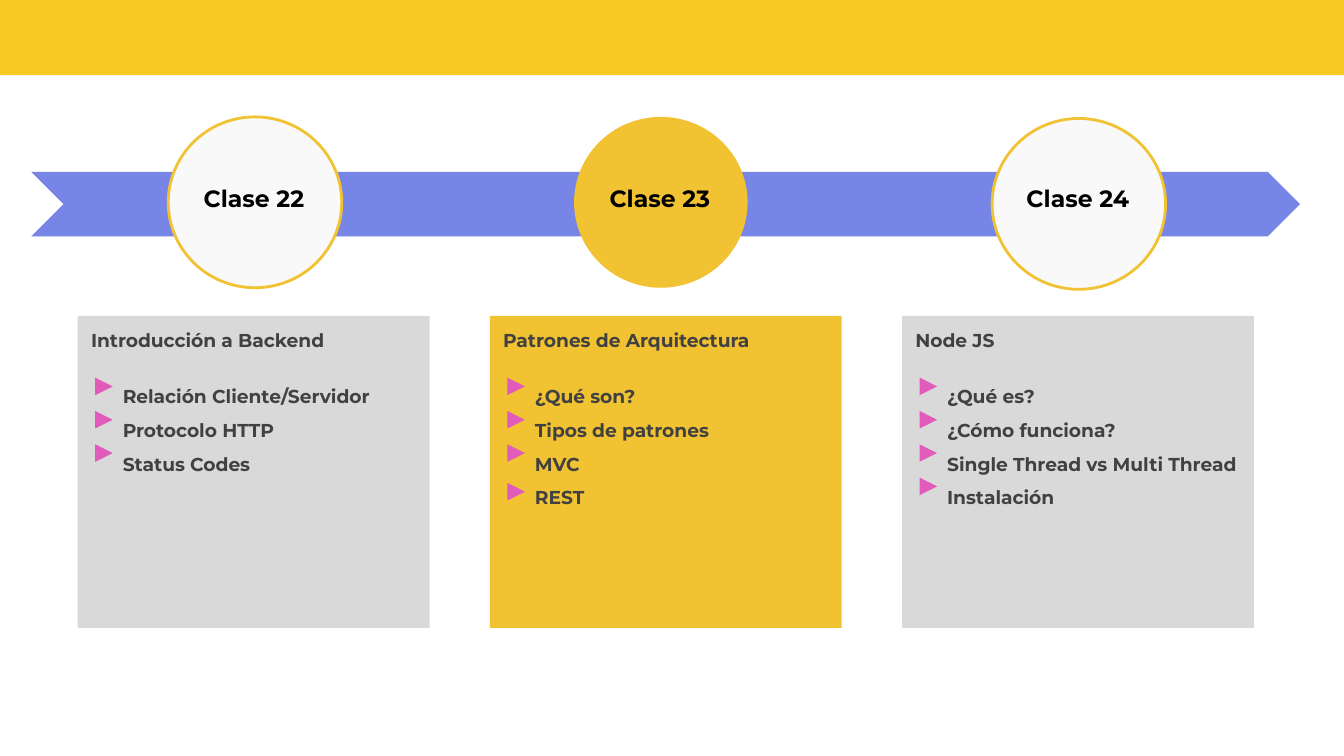
from lxml import etree
from pptx import Presentation
from pptx.dml.color import RGBColor
from pptx.enum import shapes, text
from pptx.oxml import ns
from pptx.util import Cm, Pt

COLORS = {
    "banner": "F8C823", "arrow": "7685E6", "accent": "F1C232",
    "circle": "F9F9F9", "card": "D9D9D9", "marker": "E15BBA",
    "label": "000000", "body": "414141",
}
FONT = "Montserrat"
CARD_LEFT, CARD_PITCH, CARD_TOP = 1.47, 7.79, 5.97
CARD_WIDTH, CARD_HEIGHT = 6.65, 5.9
CIRCLE_WIDTH, CIRCLE_HEIGHT = 3.28, 3.23
LABEL_WIDTH = 3.02
MARKER_TOP, MARKER_PITCH, MARKER_SIZE = 7.14, 0.63, 0.33

# label, circle left and top, current class, heading, topics, shift of last marker
classes = [
    ("Clase 22", 3.18, 2.21, False, "Introducción a Backend",
     ["Relación Cliente/Servidor", "Protocolo HTTP", "Status Codes"], 0),
    ("Clase 23", 10.85, 2.21, True, "Patrones de Arquitectura",
     ["¿Qué son?", "Tipos de patrones", "MVC", "REST"], 0.1),
    ("Clase 24", 18.75, 2.24, False, "Node JS",
     ["¿Qué es?", "¿Cómo funciona?", "Single Thread vs Multi Thread", "Instalación"], 0),
]


def add_filled(kind, left, top, width, height, color, line=None):
    shape = slide.shapes.add_shape(kind, Cm(left), Cm(top), Cm(width), Cm(height))
    shape.shadow.inherit = False
    shape.fill.solid()
    shape.fill.fore_color.rgb = RGBColor.from_string(COLORS[color])
    if line:
        shape.line.color.rgb = RGBColor.from_string(COLORS[line])
        shape.line.width = Pt(1.5)
    else:
        shape.line.fill.background()
    return shape


def write_text(shape, left, top, width, height, lines, size, color, align):
    """Place a text shape in front and fill it; lines after the first are indented."""
    shape.left, shape.top, shape.width, shape.height = Cm(left), Cm(top), Cm(width), Cm(height)
    shape.element.getparent().append(shape.element)
    frame = shape.text_frame
    frame.text = "\n".join(lines)
    frame.word_wrap = True
    frame.auto_size = text.MSO_AUTO_SIZE.NONE
    frame.vertical_anchor = text.MSO_ANCHOR.TOP
    frame.margin_left = frame.margin_right = Cm(0.25)
    frame.margin_top = frame.margin_bottom = Cm(0.25)
    for index, paragraph in enumerate(frame.paragraphs):
        properties = paragraph._p.get_or_add_pPr()
        properties.set("marL", str(Cm(0.6) if index else 0))
        properties.set("indent", "0")
        etree.SubElement(properties, ns.qn("a:buNone"))
        paragraph.alignment = align
        paragraph.line_spacing = 1.5 if index else 1.0
        paragraph.space_before = Pt(12 if index == 1 else 0)
        paragraph.space_after = Pt(0)
        paragraph.font.name = FONT
        paragraph.font.size = Pt(size)
        paragraph.font.bold = True
        paragraph.font.color.rgb = RGBColor.from_string(COLORS[color])


presentation = Presentation()
presentation.slide_width, presentation.slide_height = Cm(25.4), Cm(14.29)
slide = presentation.slides.add_slide(presentation.slide_layouts.get_by_name("Comparison"))
title, *bodies = slide.placeholders

# Banner and timeline arrow
add_filled(shapes.MSO_SHAPE.RECTANGLE, 0, 0, 25.4, 1.42, "banner")
arrow = add_filled(shapes.MSO_SHAPE.CHEVRON, 0.59, 3.25, 23.98, 1.22, "arrow")
arrow.adjustments[0] = 0.5

for column, (label, left, top, current, heading, topics, last_shift) in enumerate(classes):
    # Class circle and its label
    add_filled(shapes.MSO_SHAPE.OVAL, left, top, CIRCLE_WIDTH, CIRCLE_HEIGHT,
               "accent" if current else "circle", None if current else "accent")
    label_box = title if current else slide.shapes.add_textbox(0, 0, 0, 0)
    write_text(label_box, left + (CIRCLE_WIDTH - LABEL_WIDTH) / 2 - 0.02, 3.23,
               LABEL_WIDTH, 0.84, [label], 12.6, "label", text.PP_ALIGN.CENTER)

    # Topic card
    card_left = CARD_LEFT + column * CARD_PITCH
    card = (card_left, CARD_TOP, CARD_WIDTH, CARD_HEIGHT)
    add_filled(shapes.MSO_SHAPE.RECTANGLE, *card, "accent" if current else "card")
    write_text(bodies[column], *card, [heading] + topics, 10, "body", text.PP_ALIGN.LEFT)

    # Topic markers
    for row in range(len(topics)):
        shift = last_shift if row == len(topics) - 1 else 0
        marker = add_filled(shapes.MSO_SHAPE.ISOSCELES_TRIANGLE, card_left + 0.33,
                            MARKER_TOP + row * MARKER_PITCH + shift,
                            MARKER_SIZE, MARKER_SIZE, "marker")
        marker.rotation = 90

# Remove the placeholder that is not used
for placeholder in bodies[len(classes):]:
    placeholder.element.getparent().remove(placeholder.element)

presentation.save("out.pptx")
